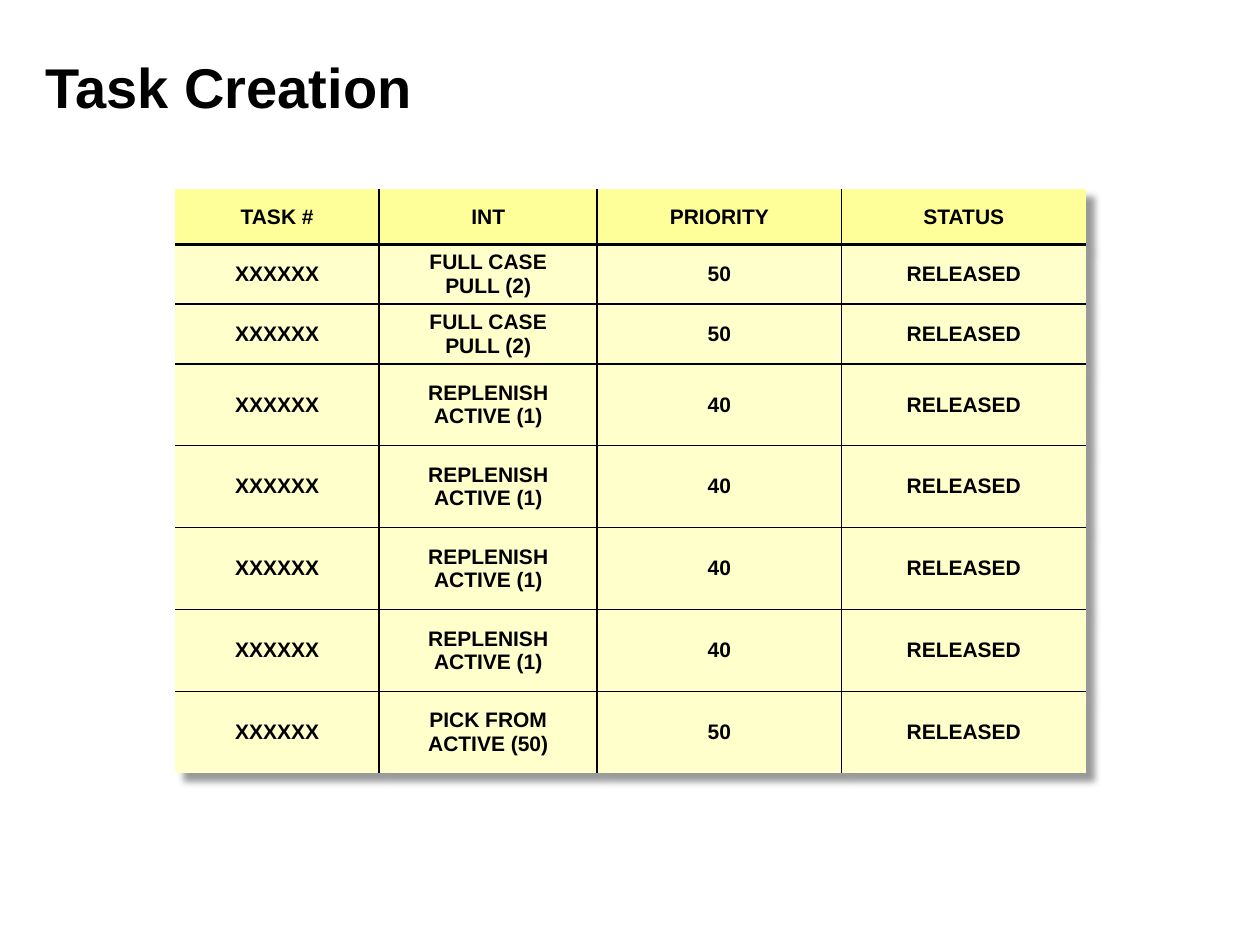
from lxml.etree import SubElement
from pptx import Presentation
from pptx.dml.color import RGBColor
from pptx.enum.text import MSO_ANCHOR as ANCHOR, PP_ALIGN as ALIGN
from pptx.oxml import parse_xml
from pptx.oxml.ns import nsdecls, qn
from pptx.util import Pt


def rgb(color):
    return RGBColor.from_string(color)


def add_border(cell, side, width):
    ln = SubElement(cell._tc.get_or_add_tcPr(), qn(f"a:ln{side}"), w=str(Pt(width)))
    fill = SubElement(ln, qn("a:solidFill"))
    SubElement(fill, qn("a:srgbClr"), val="000000")


prs = Presentation()
prs.slide_width, prs.slide_height = Pt(720), Pt(540)
s = prs.slides.add_slide(prs.slide_layouts[5])

title = s.shapes.title
title.left, title.top, title.width, title.height = Pt(18.72), Pt(25.2), Pt(684), Pt(48.24)
tf = title.text_frame
tf.text = "Task Creation"
tf.vertical_anchor = ANCHOR.MIDDLE
p = tf.paragraphs[0]
p.alignment = ALIGN.LEFT
p.font.name, p.font.size, p.font.bold = "Arial", Pt(32), True
p.font.color.rgb = rgb("000000")

tasks = [
    ("FULL CASE\nPULL (2)", "50"),
    ("FULL CASE\nPULL (2)", "50"),
    *[("REPLENISH\nACTIVE (1)", "40")] * 4,
    ("PICK FROM\nACTIVE (50)", "50"),
]
rows = [("TASK #", "INT", "PRIORITY", "STATUS")]
rows += [("XXXXXX", kind, priority, "RELEASED") for kind, priority in tasks]
col_widths = [116.64, 124.56, 139.68, 139.68]
row_heights = [31.68] + [29.52] * 2 + [46.8] * 5

frame = s.shapes.add_table(len(rows), len(col_widths), Pt(100.08), Pt(108),
                           Pt(sum(col_widths)), Pt(sum(row_heights)))
table = frame.table
table.horz_banding = False
table.first_row = False
tbl_pr = table._tbl.tblPr
tbl_pr.find(qn("a:tableStyleId")).text = "{2D5ABB26-0587-4C30-8999-92F81FD0307C}"
tbl_pr.insert(0, parse_xml(
    f'<a:effectLst {nsdecls("a")}>'
    f'<a:outerShdw blurRad="{Pt(4)}" dist="{Pt(7)}" dir="2700000" algn="tl" rotWithShape="0">'
    '<a:srgbClr val="000000"><a:alpha val="40000"/></a:srgbClr>'
    '</a:outerShdw></a:effectLst>'))

for col, width in zip(table.columns, col_widths):
    col.width = Pt(width)
for row, height in zip(table.rows, row_heights):
    row.height = Pt(height)

for i, row in enumerate(rows):
    for j, text in enumerate(row):
        cell = table.cell(i, j)
        if j > 0:
            add_border(cell, "L", 1)
        if j < len(row) - 1:
            add_border(cell, "R", 1)
        if i > 0:
            add_border(cell, "T", 2 if i == 1 else 1)
        if i < len(rows) - 1:
            add_border(cell, "B", 2 if i == 0 else 1)
        cell.fill.solid()
        cell.fill.fore_color.rgb = rgb("FFFF99" if i == 0 else "FFFFCC")
        cell.vertical_anchor = ANCHOR.MIDDLE
        cell.text = text
        for p in cell.text_frame.paragraphs:
            p.alignment = ALIGN.CENTER
            p_pr = p._p.get_or_add_pPr()
            p_pr.set("marL", str(Pt(27)))
            p_pr.set("indent", str(Pt(-27)))
            p.font.name, p.font.size, p.font.bold = "Arial", Pt(12), True
            p.font.color.rgb = rgb("000000")

prs.save("out.pptx")
